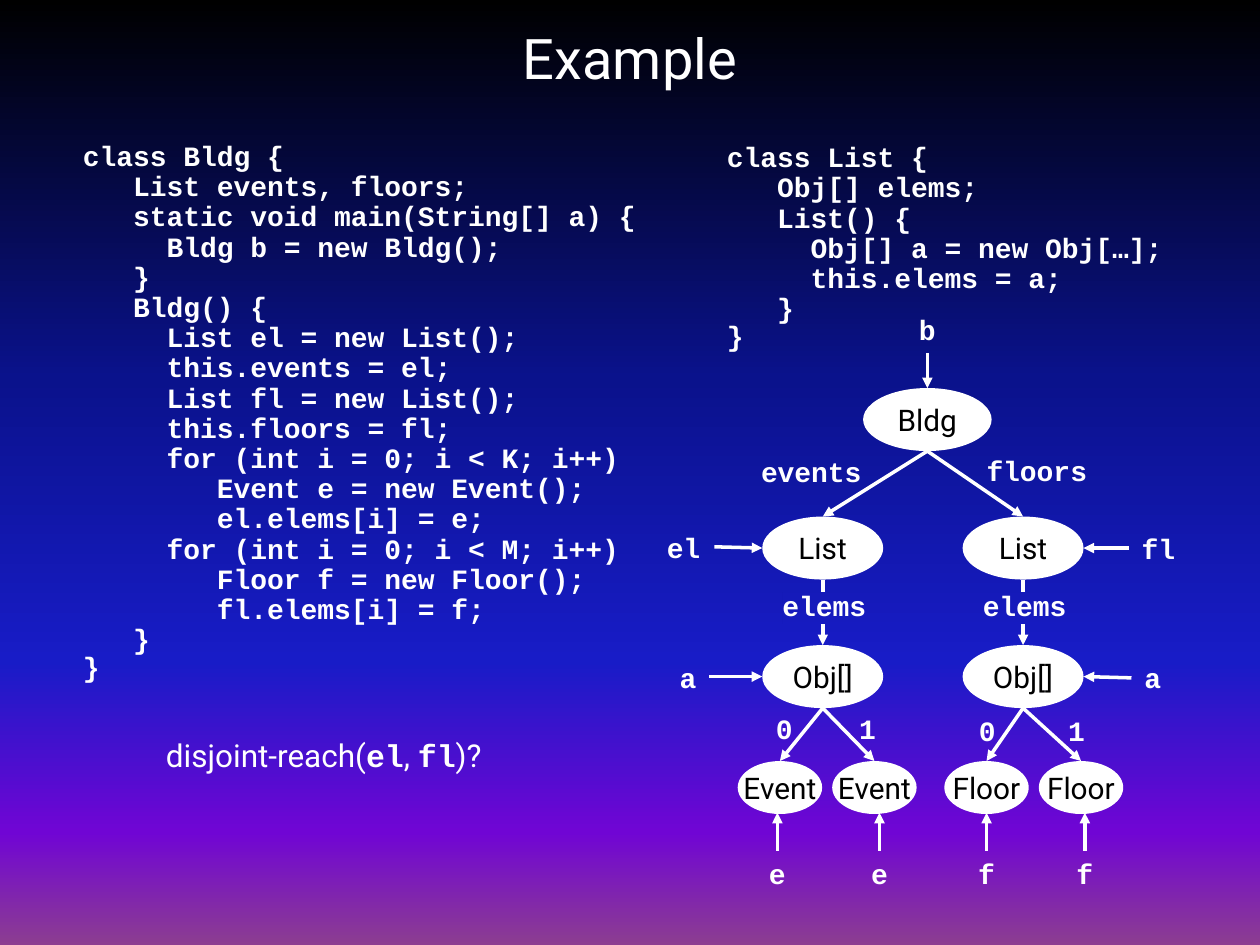
from lxml import etree
from pptx import Presentation
from pptx.dml.color import RGBColor
from pptx.enum import shapes, text
from pptx.oxml.ns import qn
from pptx.util import Inches, Pt

WHITE = RGBColor(0xFF, 0xFF, 0xFF)
BLACK = RGBColor(0x00, 0x00, 0x00)
SKY = [
    (0, BLACK),
    (40, RGBColor(0x0A, 0x12, 0x8C)),
    (70, RGBColor(0x18, 0x1C, 0xC7)),
    (88, RGBColor(0x70, 0x05, 0xD4)),
    (100, RGBColor(0x8C, 0x3D, 0x91)),
]
SANS, MONO = "Roboto", "Courier New"

BLDG_CODE = """class Bldg {
   List events, floors;
   static void main(String[] a) {
     Bldg b = new Bldg(); 
   }
   Bldg() {
     List el = new List();
     this.events = el;
     List fl = new List();
     this.floors = fl; 
     for (int i = 0; i < K; i++)
        Event e = new Event();
        el.elems[i] = e;
     for (int i = 0; i < M; i++)
        Floor f = new Floor();
        fl.elems[i] = f;
   }"""
LIST_CODE = """class List {
   Obj[] elems; 
   List() {
     Obj[] a = new Obj[…];
     this.elems = a;
   }"""


def style(font, name, size, color=WHITE, bold=False):
    font.name, font.size, font.bold = name, Pt(size), bold
    font.color.rgb = color


def add_label(words, left, top, width, height, centred=False, inset=True):
    """Add one line of bold code text and return its box."""
    box = slide.shapes.add_textbox(Inches(left), Inches(top), Inches(width), Inches(height))
    frame = box.text_frame
    frame.word_wrap = centred
    frame.auto_size = text.MSO_AUTO_SIZE.SHAPE_TO_FIT_TEXT
    if not inset:
        frame.margin_left = frame.margin_right = frame.margin_top = frame.margin_bottom = 0
    line = frame.paragraphs[0]
    line.text = words
    if centred:
        line.alignment = text.PP_ALIGN.CENTER
    else:
        line.line_spacing = 0.9
    style(line.runs[0].font, MONO, 16, bold=True)
    return box


prs = Presentation()
prs.slide_width, prs.slide_height = Inches(10), Inches(7.5)
slide = prs.slides.add_slide(prs.slide_layouts[5])

# Background
sky = slide.background.fill
sky.gradient()
sky.gradient_angle = 270
stops = slide.background._cSld.find(".//" + qn("a:gsLst"))
for stop in list(stops):
    stops.remove(stop)
for percent, color in SKY:
    stop = etree.SubElement(stops, qn("a:gs"), pos=str(percent * 1000))
    etree.SubElement(stop, qn("a:srgbClr"), val=str(color))

# Title
title = slide.shapes.title
title.left, title.top, title.width, title.height = 0, Inches(0.08), Inches(10), Inches(0.75)
title.text_frame.text = "Example"
title.text_frame.vertical_anchor = text.MSO_ANCHOR.MIDDLE
title.text_frame.paragraphs[0].alignment = text.PP_ALIGN.CENTER
style(title.text_frame.paragraphs[0].runs[0].font, SANS, 32)

# Class listings
for code, left, top, width, height in [
    (LIST_CODE, 5.67, 1.09, 3.75, 1.8),
    (BLDG_CODE, 0.56, 1.08, 4.67, 4.46),
]:
    listing = slide.shapes.add_textbox(Inches(left), Inches(top), Inches(width), Inches(height))
    listing.text_frame.word_wrap = True
    body = listing.text_frame.paragraphs[0]
    body.text = code.replace("\n", "\v")
    body.line_spacing = 0.9
    closing = listing.text_frame.add_paragraph()
    closing.text = "}"
    closing.line_spacing = 0.3
    closing.space_before = Pt(8)
    for part in (body, closing):
        for run in part.runs:
            style(run.font, MONO, 16, bold=True)

# Object graph: field edges, then pointers from the variables
EVENTS, FLOORS, ROOT = 6.53, 8.12, 7.36
LEAVES = [("Event", EVENTS, 6.19), ("Event", EVENTS, 6.94),
          ("Floor", FLOORS, 7.83), ("Floor", FLOORS, 8.58)]
VARIABLES = [("e", 6.17), ("e", 6.98), ("f", 7.83), ("f", 8.61)]

arrows = [(ROOT, 2.8, ROOT, 3.08)]
for branch in (EVENTS, FLOORS):
    arrows += [(ROOT, 3.58, branch, 4.1), (branch, 4.6, branch, 5.12)]
arrows += [(branch, 5.62, leaf, 6.04) for _, branch, leaf in LEAVES]
arrows += [(x, 6.75, x, 6.45) for _, x in VARIABLES]
arrows += [(5.67, 4.34, 6.05, 4.35), (8.96, 4.35, 8.6, 4.35),
           (5.63, 5.37, 6.05, 5.37), (8.98, 5.38, 8.6, 5.37)]
for x1, y1, x2, y2 in arrows:
    arrow = slide.shapes.add_connector(
        shapes.MSO_CONNECTOR.STRAIGHT, Inches(x1), Inches(y1), Inches(x2), Inches(y2))
    arrow.line.color.rgb = WHITE
    arrow.line.width = Pt(2)
    etree.SubElement(arrow.line._get_or_add_ln(), qn("a:tailEnd"), type="triangle")
    etree.SubElement(arrow._element.spPr, qn("a:effectLst"))

nodes = [("Bldg", ROOT, 3.08, 1.02, 0.5)]
for branch in (EVENTS, FLOORS):
    nodes += [("List", branch, 4.1, 0.96, 0.5), ("Obj[]", branch, 5.12, 0.96, 0.5)]
nodes += [(kind, leaf, 6.04, 0.67, 0.42) for kind, _, leaf in LEAVES]
for kind, center, top, width, height in nodes:
    node = slide.shapes.add_shape(
        shapes.MSO_SHAPE.OVAL, Inches(center - width / 2), Inches(top), Inches(width), Inches(height))
    node.shadow.inherit = False
    node.fill.solid()
    node.fill.fore_color.rgb = WHITE
    node.line.fill.background()
    frame = node.text_frame
    frame.margin_left = frame.margin_right = frame.margin_top = frame.margin_bottom = Inches(0.05)
    frame.word_wrap = False
    frame.vertical_anchor = text.MSO_ANCHOR.MIDDLE
    frame.text = kind
    frame.paragraphs[0].alignment = text.PP_ALIGN.CENTER
    style(frame.paragraphs[0].runs[0].font, SANS, 17, BLACK)

# Field names and array indices
add_label("events", 6.04, 3.64, 0.8, 0.24, inset=False)
add_label("floors", 7.83, 3.63, 0.8, 0.24, inset=False)
for branch in (EVENTS, FLOORS):
    elems = add_label("elems", branch - 0.32, 4.7, 0.67, 0.25, inset=False)
    elems._element.set("useBgFill", "1")  # the slide background hides the edge behind
for index, left, top in [("0", 6.06, 5.63), ("1", 6.72, 5.63), ("0", 7.67, 5.64), ("1", 8.38, 5.64)]:
    add_label(index, left, top, 0.34, 0.35)

# Variable names
for name, left, top, width in [
    ("b", 7.19, 2.43, 0.34),
    ("el", 5.19, 4.16, 0.47),
    ("fl", 8.96, 4.17, 0.47),
    ("a", 5.29, 5.19, 0.34),
    ("a", 8.98, 5.19, 0.34),
] + [(name, x - 0.17, 6.75, 0.34) for name, x in VARIABLES]:
    add_label(name, left, top, width, 0.37, centred=True)

# Question
question = slide.shapes.add_shape(
    shapes.MSO_SHAPE.ROUNDED_RECTANGLE, Inches(1.17), Inches(5.75), Inches(2.8), Inches(0.48))
question.shadow.inherit = False
question.fill.background()
question.line.fill.background()
question.text_frame.word_wrap = False
question.text_frame.vertical_anchor = text.MSO_ANCHOR.MIDDLE
query = question.text_frame.paragraphs[0]
query.alignment = text.PP_ALIGN.CENTER
for words, font_name in [("disjoint-reach(", SANS), ("el", MONO), (", ", SANS), ("fl", MONO), (")?", SANS)]:
    run = query.add_run()
    run.text = words
    style(run.font, font_name, 18, bold=font_name == MONO)

prs.save("out.pptx")
